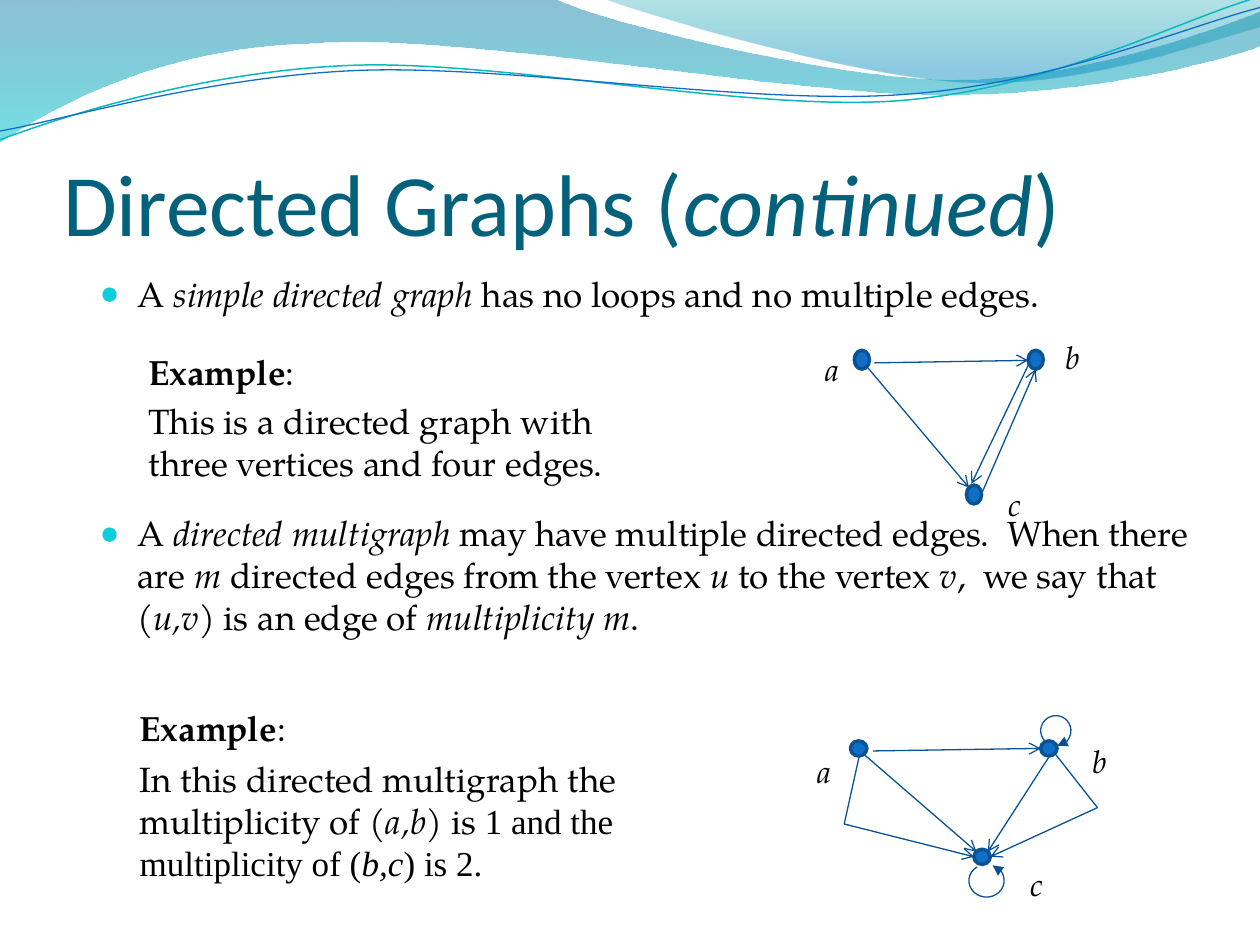
from math import cos, radians, sin, tan

from lxml.etree import SubElement
from pptx import Presentation
from pptx.dml.color import RGBColor
from pptx.enum.shapes import MSO_CONNECTOR as CONN, MSO_SHAPE as SHAPE
from pptx.enum.text import MSO_ANCHOR as ANCHOR, MSO_AUTO_SIZE as FIT, PP_ALIGN as ALIGN
from pptx.oxml.ns import qn
from pptx.util import Cm, Pt

SERIF, TIMES, SANS = "TeX Gyre Pagella", "Times New Roman", "Calibri"
BLACK, TITLE, BULLET = "000000", "04617B", "0BD0D9"
EDGE, NODE, NODE_LINE = "095295", "0F6FC6", "0B5292"

# Runs are (text, style): i italic, b bold, t Times
title = [("Directed Graphs (", ""), ("continued", "i"), (")", "")]
bullets = [
    (3.4, [("A ", ""), ("simple directed graph ", "i"),
           ("has no loops and no multiple edges.", "")]),
    (113, [("A ", ""), ("directed multigraph", "i"),
           (" may have multiple directed edges.  When there are ", ""), ("m", "i"),
           (" directed edges from the vertex ", ""), ("u", "i"),
           (" to the vertex ", ""), ("v", "i"), (",  we say that  (", ""),
           ("u,v", "i"), (") is an edge of ", ""), ("multiplicity m", "i"), (".", "")]),
]
example = [("Example", "b"), (":", "")]
notes = [
    ((1.08, 2.73, 1.5, 0.44), example),
    ((1.08, 3.12, 3.84, 0.77),
     [("This is a directed graph with three vertices and four edges.", "")]),
    ((1.01, 5.56, 1.5, 0.44), example),
    ((1.01, 5.96, 5.02, 1.11),
     [("In this directed multigraph the multiplicity of (", ""), ("a,b", "i"),
      (") is ", ""), ("1 and the multiplicity of (", "t"), ("b,c", "it"), (") is 2.", "t")]),
]

# Paths: a start, then lines (x, y) and Bézier curves (x1, y1, x2, y2, x, y)
bands = [
    ([(0, 0), (4.4, -0.01), (4.76, 0.17, 6.64, 0.63, 7.58, 0.63),
      (8.53, 0.63, 9.58, 0.26, 10, 0.09), (10.01, 0.36),
      (9.83, 0.44, 8.7, 0.76, 7.46, 0.75), (6.22, 0.75, 3.82, 0.28, 2.57, 0.34),
      (1.29, 0.36, 0.46, 0.83, -0.01, 1.13)],
     [(0, "0074A1", 45), (1, "00C6CF", 55)]),
    ([(4.79, -0.01), (5.09, 0.11, 6.82, 0.62, 7.69, 0.65),
      (8.56, 0.69, 9.61, 0.32, 10, 0.21), (10, 0)],
     [(0, "00A1A9", 30), (0.8, "008BBF", 45)]),
]
waves = [
    ([(0, 1.11), (0.48, 0.93, 1.58, 0.57, 2.77, 0.52),
      (3.95, 0.47, 5.93, 0.89, 7.13, 0.8), (8.33, 0.71, 9.38, 0.15, 9.98, -0.02)],
     "0AB8BF", 0.85),
    ([(0, 1.04), (0.47, 0.96, 1.64, 0.61, 2.83, 0.56),
      (4.03, 0.51, 5.97, 0.84, 7.17, 0.75), (8.36, 0.67, 9.41, 0.21, 10, 0.06)],
     "0F6FC6", 0.75),
]

# Edges are the points passed on the way; the last one carries the arrowhead.
# Loops are (centre x, centre y, radius x, radius y, from angle, to angle).
graphs = [
    {"size": (0.12, 0.15), "label": (0.24, 0.25),
     "nodes": [(6.78, 2.78), (8.16, 2.78), (7.67, 3.85)],
     "labels": [("a", 6.45, 2.73), ("b", 8.36, 2.63), ("c", 7.91, 3.8)],
     "edges": [[(6.94, 2.88), (8.16, 2.86)], [(6.88, 2.91), (7.69, 3.87)],
               [(8.16, 2.9), (7.71, 3.84)], [(7.79, 3.92), (8.22, 2.93)]],
     "loops": []},
    {"size": (0.13, 0.12), "label": (0.27, 0.2),
     "nodes": [(6.75, 5.88), (8.26, 5.88), (7.73, 6.74)],
     "labels": [("a", 6.39, 5.92), ("b", 8.57, 5.84), ("c", 8.08, 6.82)],
     "edges": [[(6.93, 5.96), (8.26, 5.94)], [(6.86, 5.99), (7.75, 6.76)],
               [(8.33, 6), (7.84, 6.76)], [(6.82, 6), (6.7, 6.54), (7.73, 6.8)],
               [(8.38, 5.99), (8.71, 6.41), (7.86, 6.8)]],
     "loops": [(7.83, 6.99, 0.14, 0.13, 238, -70), (8.38, 5.8, 0.12, 0.12, 135, 445)]},
]


def inch(*values):
    return [Cm(v * 2.54) for v in values]


def rgb(code):
    return RGBColor.from_string(code)


def add_runs(p, runs, size, color=BLACK, font=SERIF):
    for text, style in runs:
        r = p.add_run()
        r.text = text
        f = r.font
        f.size, f.name = Pt(size), TIMES if "t" in style else font
        f.bold, f.italic = "b" in style, "i" in style
        f.color.rgb = rgb(color)


def add_text(box, runs, size):
    tf = s.shapes.add_textbox(*inch(*box)).text_frame
    tf.word_wrap = True
    tf.auto_size = FIT.SHAPE_TO_FIT_TEXT
    add_runs(tf.paragraphs[0], runs, size)


def set_line(shape, color, width, arrow=None):
    shape.line.color.rgb = rgb(color)
    shape.line.width = Pt(width)
    if arrow:
        SubElement(shape.line._get_or_add_ln(), qn("a:tailEnd"), type=arrow)


def arc(cx, cy, rx, ry, start, end, parts=6):
    """Approximate an elliptical arc by equal Bézier curves."""
    step = radians(end - start) / parts
    k = 4 / 3 * tan(step / 4)
    curves = [(cx + rx * cos(radians(start)), cy + ry * sin(radians(start)))]
    for i in range(parts):
        a = radians(start) + i * step
        b = a + step
        curves.append((cx + rx * (cos(a) - k * sin(a)), cy + ry * (sin(a) + k * cos(a)),
                       cx + rx * (cos(b) + k * sin(b)), cy + ry * (sin(b) - k * cos(b)),
                       cx + rx * cos(b), cy + ry * sin(b)))
    return curves


def add_outline(path, close=False):
    """Draw a freeform, joining each three points of a curve into one Bézier."""
    builder = s.shapes.build_freeform(*inch(*path[0]))
    for seg in path[1:]:
        points = [inch(*seg[i:i + 2]) for i in range(0, len(seg), 2)]
        builder.add_line_segments(points, close=False)
    if close:
        builder.add_line_segments([inch(*path[0])], close=True)
    sp = builder.convert_to_shape()
    lines = iter(list(sp._element.iter(qn("a:lnTo"))))
    for seg in path[1:]:
        curve = next(lines)
        if len(seg) == 6:
            curve.tag = qn("a:cubicBezTo")
            for line in (next(lines), next(lines)):
                curve.append(line[0])
                line.getparent().remove(line)
    sp.shadow.inherit = False
    sp.fill.background()
    return sp


def add_band(path, stops):
    sp = add_outline(path, close=True)
    sp.line.fill.background()
    sp.fill.gradient()
    sp.fill.gradient_angle = 270
    for stop, (position, color, _) in zip(sp.fill.gradient_stops, stops):
        stop.position = position
        stop.color.rgb = rgb(color)
    for clr, (_, _, opacity) in zip(sp._element.spPr.iter(qn("a:srgbClr")), stops):
        SubElement(clr, qn("a:alpha"), val=str(opacity * 1000))


def add_edge(points):
    for start, end in zip(points, points[1:]):
        c = s.shapes.add_connector(CONN.STRAIGHT, *inch(*start, *end))
        set_line(c, EDGE, 0.75, "arrow" if end == points[-1] else None)
        SubElement(c._element.spPr, qn("a:effectLst"))


def add_graph(g):
    for node in g["nodes"]:
        sp = s.shapes.add_shape(SHAPE.OVAL, *inch(*node, *g["size"]))
        sp.shadow.inherit = False
        sp.fill.solid()
        sp.fill.fore_color.rgb = rgb(NODE)
        set_line(sp, NODE_LINE, 2)
    for edge in g["edges"]:
        add_edge(edge)
    for loop in g["loops"]:
        set_line(add_outline(arc(*loop)), EDGE, 0.75, "triangle")
    for name, x, y in g["labels"]:
        add_text((x, y, *g["label"]), [(name, "i")], 18)


def place(sp, box):
    sp.left, sp.top, sp.width, sp.height = inch(*box)
    sp.text_frame.auto_size = FIT.NONE
    return sp.text_frame


def add_bullet(p):
    pPr = p._p.get_or_add_pPr()
    indent = inch(0.3)[0]
    pPr.set("marL", str(indent))
    pPr.set("indent", str(-indent))
    SubElement(SubElement(pPr, qn("a:buClr")), qn("a:srgbClr"), val=BULLET)
    SubElement(pPr, qn("a:buSzPct"), val="95000")
    SubElement(pPr, qn("a:buChar"), char="●")


prs = Presentation()
prs.slide_width, prs.slide_height = inch(10, 7.5)
s = prs.slides.add_slide(prs.slide_layouts[1])

for path, stops in bands:
    add_band(path, stops)
for path, color, width in waves:
    set_line(add_outline(path), color, width)
tf = place(s.shapes.title, (0.5, 0.77, 9, 1.25))
tf.vertical_anchor = ANCHOR.BOTTOM
tf.margin_left = tf.margin_right = tf.margin_bottom = 0
tf.paragraphs[0].alignment = ALIGN.LEFT
add_runs(tf.paragraphs[0], title, 50, TITLE, SANS)
tf = place(s.placeholders[1], (0.69, 2.11, 9, 4.8))
for i, (gap, runs) in enumerate(bullets):
    p = tf.add_paragraph() if i else tf.paragraphs[0]
    p.space_before = Pt(gap)
    add_bullet(p)
    add_runs(p, runs, 20)
for g in graphs:
    add_graph(g)
for box, runs in notes:
    add_text(box, runs, 20)

prs.save("out.pptx")
